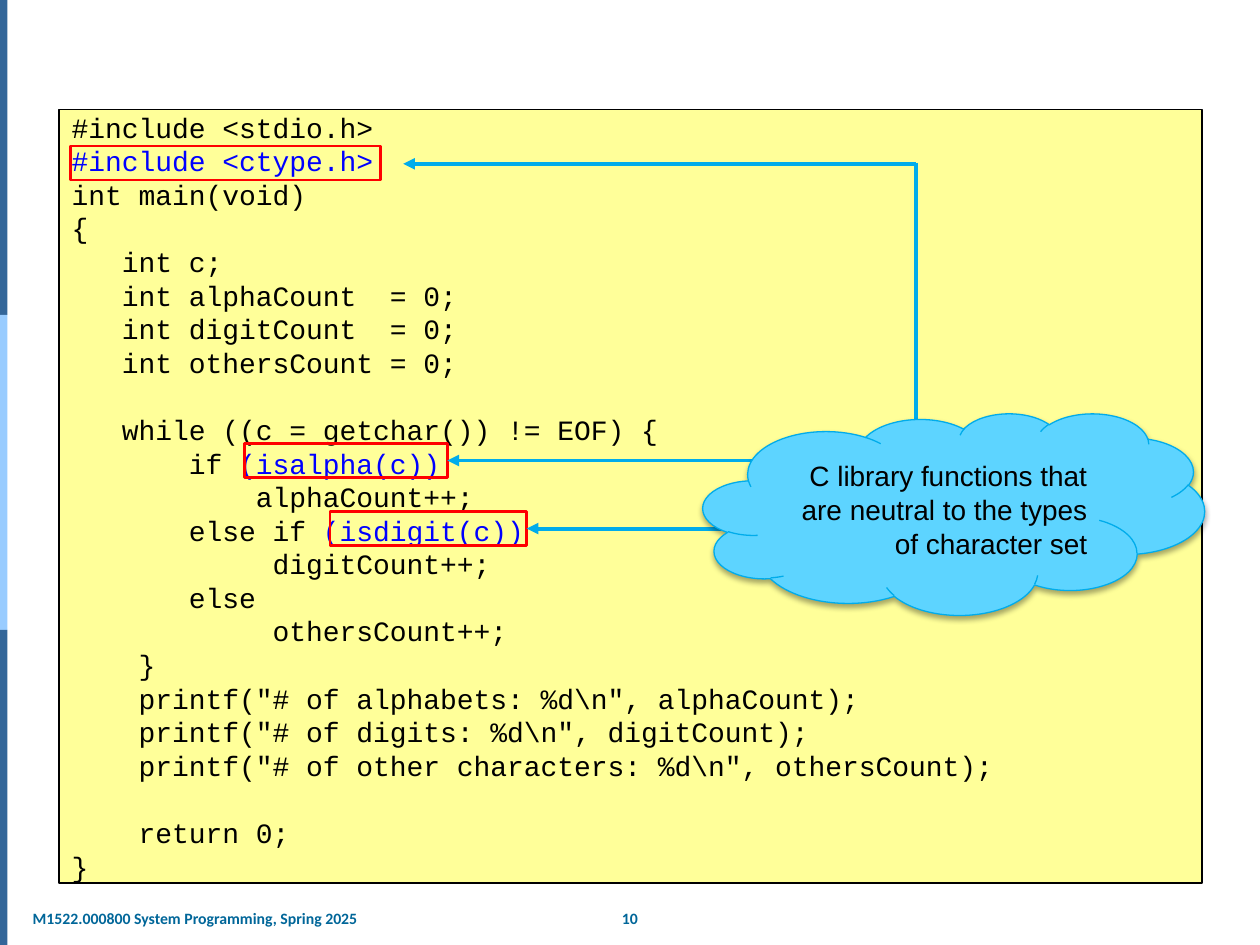
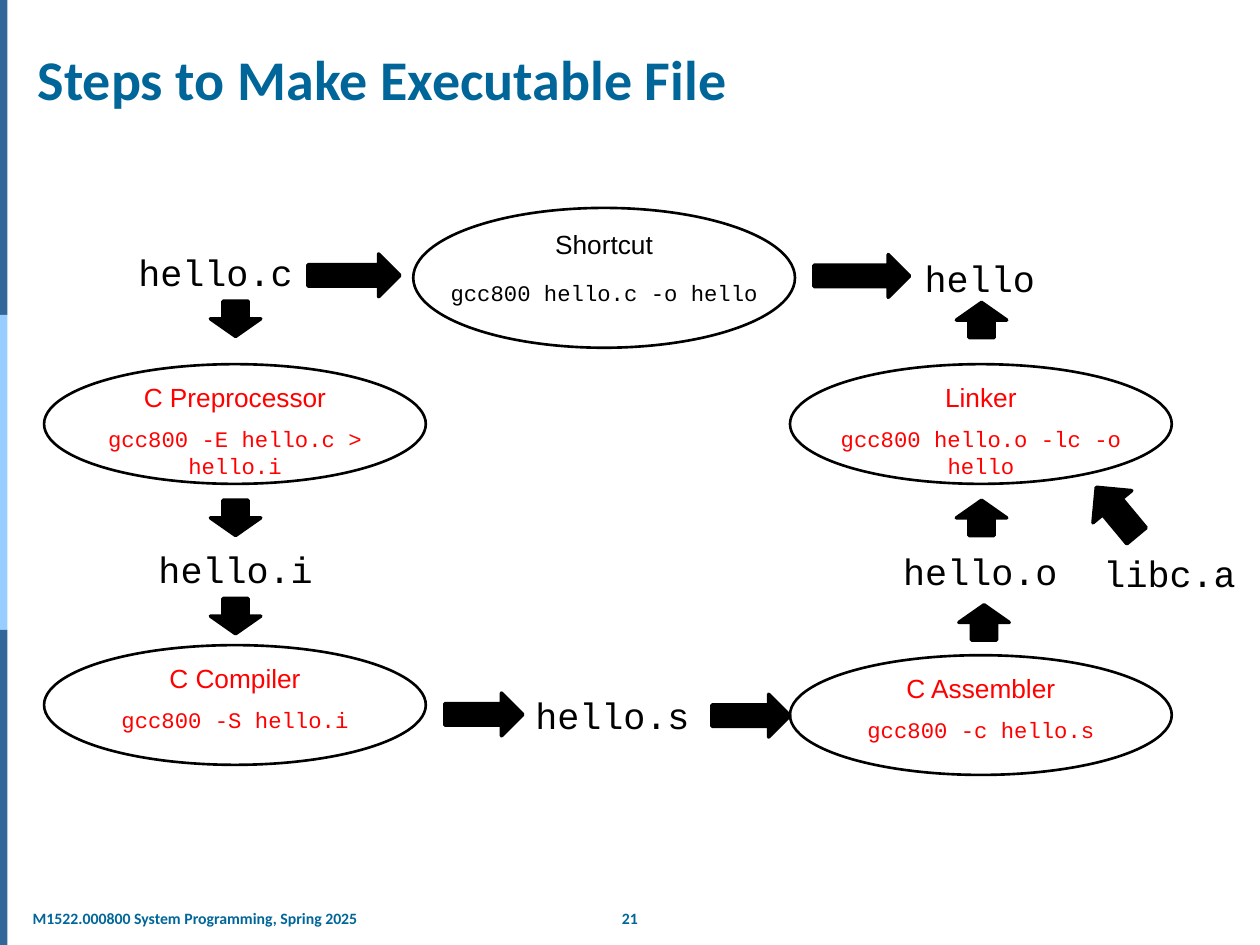
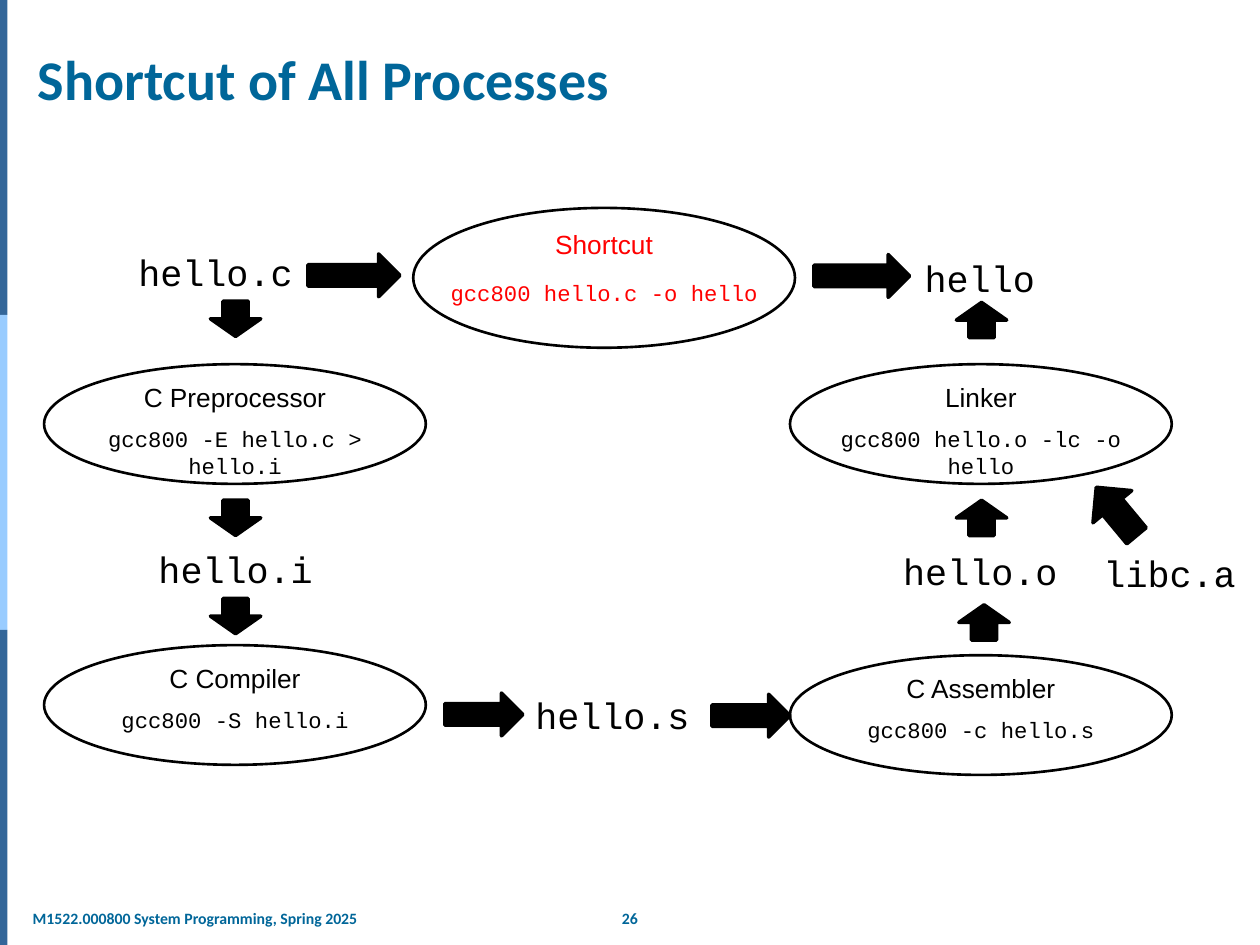
from dataclasses import dataclass

from lxml.etree import SubElement
from pptx import Presentation
from pptx.dml.color import RGBColor
from pptx.enum.shapes import MSO_CONNECTOR, MSO_SHAPE
from pptx.enum.text import MSO_ANCHOR, MSO_AUTO_SIZE, PP_ALIGN
from pptx.oxml.ns import qn
from pptx.util import Inches, Pt


@dataclass(frozen=True)
class Theme:
    black: str = "000000"
    white: str = "FFFFFF"
    red: str = "FF0000"
    code_blue: str = "0000FF"
    title_blue: str = "006699"
    band_dark: str = "336699"
    band_light: str = "99CCFF"
    paper: str = "FFFF99"
    cloud: str = "5DD4FF"
    pointer: str = "00ACEB"
    heading: str = "Calibri"
    sans: str = "Arial"
    mono: str = "Courier New"
    title_size: float = 32
    footer_size: float = 9
    code_size: float = 16
    code_leading: float = 19.2
    file_size: float = 21
    stage_size: float = 15
    command_size: float = 12.7


THEME = Theme()


def add_block(shapes, preset, box, fill=None, line=None, width=1.0):
    """Add a shadowless preset shape; a missing fill or line colour leaves that part empty."""
    block = shapes.add_shape(preset, *map(Inches, box))
    block.shadow.inherit = False
    if fill:
        block.fill.solid()
        block.fill.fore_color.rgb = RGBColor.from_string(fill)
    else:
        block.fill.background()
    if line:
        block.line.color.rgb = RGBColor.from_string(line)
        block.line.width = Pt(width)
    else:
        block.line.fill.background()
    return block


def style(paragraph, face, size, colour, bold=False, align=PP_ALIGN.LEFT):
    paragraph.alignment = align
    for run in paragraph.runs:
        run.font.name = face
        run.font.size = Pt(size)
        run.font.bold = bold
        run.font.color.rgb = RGBColor.from_string(colour)


prs = Presentation()
prs.slide_width, prs.slide_height = Inches(10), Inches(7.5)
title_layout, blank_layout = prs.slide_layouts[5], prs.slide_layouts[6]

title_area = title_layout.placeholders[0]
title_area.left, title_area.top = Inches(0.2), Inches(0.31)
title_area.width, title_area.height = Inches(9.65), Inches(0.63)

# Side bands and course name, shared through the slide master
code_slide = prs.slides.add_slide(blank_layout)
shapes = code_slide.shapes
shared = [
    add_block(shapes, MSO_SHAPE.RECTANGLE, (0, 2.5 * row, 0.06, 2.5), colour)
    for row, colour in enumerate((THEME.band_dark, THEME.band_light, THEME.band_dark))
]
course = shapes.add_textbox(Inches(0.2), Inches(7.16), Inches(2.78), Inches(0.25))
course.text_frame.word_wrap = False
course.text_frame.margin_left = course.text_frame.margin_right = Inches(0.06)
course.text_frame.text = "M1522.000800 System Programming, Spring 2025"
style(course.text_frame.paragraphs[0], THEME.heading, THEME.footer_size, THEME.title_blue, bold=True)
shared.append(course)
for shape_id, part in enumerate(shared, start=20):
    part.element.nvSpPr.cNvPr.id = shape_id
    prs.slide_master.shapes.element.append(part.element)

# Slide 1: program listing
CODE = r"""#include <stdio.h>
#include <ctype.h>
int main(void)
{
   int c;
   int alphaCount  = 0;
   int digitCount  = 0;
   int othersCount = 0;

   while ((c = getchar()) != EOF) {
       if (isalpha(c))
           alphaCount++;
       else if (isdigit(c))
            digitCount++;
       else
            othersCount++;
    }
    printf("# of alphabets: %d\n", alphaCount);
    printf("# of digits: %d\n", digitCount);
    printf("# of other characters: %d\n", othersCount);

    return 0;
}"""
LIBRARY_USES = ("#include <ctype.h>", "(isalpha(c))", "(isdigit(c))")

listing = add_block(shapes, MSO_SHAPE.RECTANGLE, (0.47, 0.87, 9.07, 6.14), THEME.paper, THEME.black)
frame = listing.text_frame
frame.vertical_anchor = MSO_ANCHOR.MIDDLE
frame.word_wrap = True
paragraph = frame.paragraphs[0]
after_gap = False
for number, code_line in enumerate(CODE.splitlines()):
    if not code_line:
        after_gap = True
        continue
    if number:
        paragraph = frame.add_paragraph()
    use = next((use for use in LIBRARY_USES if code_line.endswith(use)), "")
    for piece in filter(None, (code_line.removesuffix(use), use)):
        paragraph.add_run().text = piece
    style(paragraph, THEME.mono, THEME.code_size, THEME.black)
    if use:
        paragraph.runs[-1].font.color.rgb = RGBColor.from_string(THEME.code_blue)
    paragraph.line_spacing = Pt(THEME.code_leading)
    if after_gap:
        paragraph.space_before = Pt(THEME.code_leading)
        after_gap = False

FRAME_HEIGHT = 0.27
include_frame, alpha_frame, digit_frame = [
    add_block(shapes, MSO_SHAPE.RECTANGLE, (left, top, width, FRAME_HEIGHT), line=THEME.red, width=1.5)
    for left, top, width in ((0.56, 1.16, 2.46), (1.94, 3.52, 1.61), (2.62, 4.06, 1.56))
]

# start, end, framed call the pointer is joined to, arrowhead
alpha_y, digit_y = 3.52 + FRAME_HEIGHT / 2, 4.06 + FRAME_HEIGHT / 2
POINTERS = [
    ((7.27, 1.29), (7.27, 3.58), None, False),
    ((6.35, alpha_y), (3.55, alpha_y), alpha_frame, True),
    ((6.99, digit_y), (4.18, digit_y), digit_frame, True),
    ((7.27, 1.3), (3.2, 1.3), None, True),
]
for start, end, target, has_head in POINTERS:
    pointer = shapes.add_connector(MSO_CONNECTOR.STRAIGHT, *map(Inches, start + end))
    pointer.line.color.rgb = RGBColor.from_string(THEME.pointer)
    pointer.line.width = Pt(2.25)
    if target:
        pointer.end_connect(target, 3)
    if has_head:
        SubElement(pointer.line._get_or_add_ln(), qn("a:tailEnd"), type="triangle")
    SubElement(pointer.element.spPr, qn("a:effectLst"))

cloud = add_block(shapes, MSO_SHAPE.CLOUD, (5.58, 3.28, 3.98, 1.6), THEME.cloud, THEME.pointer, 0.75)
effects = cloud.element.spPr.find(qn("a:effectLst"))
shadow = SubElement(effects, qn("a:outerShdw"), blurRad=str(Pt(3.1)), dist=str(Pt(1.8)),
                    dir="5400000", rotWithShape="0")
shadow_colour = SubElement(shadow, qn("a:srgbClr"), val=THEME.black)
SubElement(shadow_colour, qn("a:alpha"), val="35000")
cloud.text_frame.word_wrap = True
cloud.text_frame.vertical_anchor = MSO_ANCHOR.MIDDLE
cloud.text_frame.text = "C library functions that are neutral to the types of character set"
remark = cloud.text_frame.paragraphs[0]
style(remark, THEME.sans, THEME.code_size, THEME.black, align=PP_ALIGN.RIGHT)
remark.line_spacing = Pt(THEME.code_leading)

# Slides 2 and 3: build steps
STAGE_WIDTH = 3.03
STAGES = [  # name, command, left, top, height
    ("C Preprocessor", "gcc800 -E hello.c > hello.i", 0.35, 2.89, 0.95),
    ("C Compiler", "gcc800 -S hello.i", 0.35, 5.12, 0.95),
    ("C Assembler", "gcc800 -c hello.s", 6.27, 5.2, 0.95),
    ("Linker", "gcc800 hello.o -lc -o hello", 6.27, 2.89, 0.95),
    ("Shortcut", "gcc800 hello.c -o hello", 3.28, 1.65, 1.11),
]
FILES = [  # name, left, top, width
    ("hello.c", 1, 1.93, 1.44),
    ("hello.i", 1.16, 4.29, 1.44),
    ("hello.s", 4.15, 5.45, 1.44),
    ("hello.o", 7.07, 4.31, 1.44),
    ("libc.a", 8.66, 4.32, 1.26),
    ("hello", 7.24, 1.98, 1.09),
]
ARROWS = [  # left, top, width, height, rotation
    (1.67, 2.39, 0.4, 0.28, 0),
    (1.67, 3.97, 0.4, 0.28, 0),
    (1.67, 4.75, 0.4, 0.28, 0),
    (3.67, 5.36, 0.34, 0.62, 270),
    (5.79, 5.37, 0.34, 0.62, 270),
    (7.61, 4.8, 0.4, 0.28, 180),
    (7.59, 3.97, 0.4, 0.28, 180),
    (8.66, 3.81, 0.4, 0.5, 140.3),
    (7.59, 2.4, 0.4, 0.28, 180),
    (2.64, 1.82, 0.34, 0.73, 270),
    (6.67, 1.81, 0.34, 0.76, 270),
]

for heading, shortcut_in_focus in (
    ("Steps to Make Executable File", False),
    ("Shortcut of All Processes", True),
):
    shapes = prs.slides.add_slide(title_layout).shapes
    title = shapes.title.text_frame
    title.text = heading
    title.vertical_anchor = MSO_ANCHOR.BOTTOM
    title.auto_size = MSO_AUTO_SIZE.NONE
    style(title.paragraphs[0], THEME.heading, THEME.title_size, THEME.title_blue, bold=True)

    for name, command, left, top, height in STAGES:
        in_focus = (name == "Shortcut") == shortcut_in_focus
        colour = THEME.red if in_focus else THEME.black
        stage = shapes.add_group_shape().shapes
        oval = add_block(stage, MSO_SHAPE.OVAL, (left, top, STAGE_WIDTH, height),
                         THEME.white, THEME.black, 1.5)
        oval.text_frame.vertical_anchor = MSO_ANCHOR.TOP
        oval.text_frame.margin_top = 0
        oval.text_frame.text = name
        style(oval.text_frame.paragraphs[0], THEME.sans, THEME.stage_size, colour, align=PP_ALIGN.CENTER)

        command_box = stage.add_textbox(Inches(left + 0.02), Inches(top + height / 2 - 0.04),
                                        Inches(2.99), Inches(0.31))
        command_box.text_frame.word_wrap = True
        command_box.text_frame.auto_size = MSO_AUTO_SIZE.SHAPE_TO_FIT_TEXT
        command_box.text_frame.text = command
        style(command_box.text_frame.paragraphs[0], THEME.mono, THEME.command_size, colour,
              align=PP_ALIGN.CENTER)

    for name, left, top, width in FILES:
        file_label = shapes.add_textbox(Inches(left), Inches(top), Inches(width), Inches(0.45))
        file_label.text_frame.word_wrap = False
        file_label.text_frame.text = name
        style(file_label.text_frame.paragraphs[0], THEME.mono, THEME.file_size, THEME.black)

    for *box, rotation in ARROWS:
        arrow = add_block(shapes, MSO_SHAPE.DOWN_ARROW, box, THEME.black, THEME.black, 2)
        arrow.rotation = rotation

# Page numbers
for slide, page in zip(prs.slides, (10, 21, 26)):
    page_number = slide.shapes.add_textbox(Inches(4.82), Inches(7.16), Inches(0.36), Inches(0.25))
    page_number.text_frame.word_wrap = False
    page_number.text_frame.text = str(page)
    style(page_number.text_frame.paragraphs[0], THEME.heading, THEME.footer_size, THEME.title_blue,
          bold=True, align=PP_ALIGN.CENTER)

prs.save("out.pptx")
